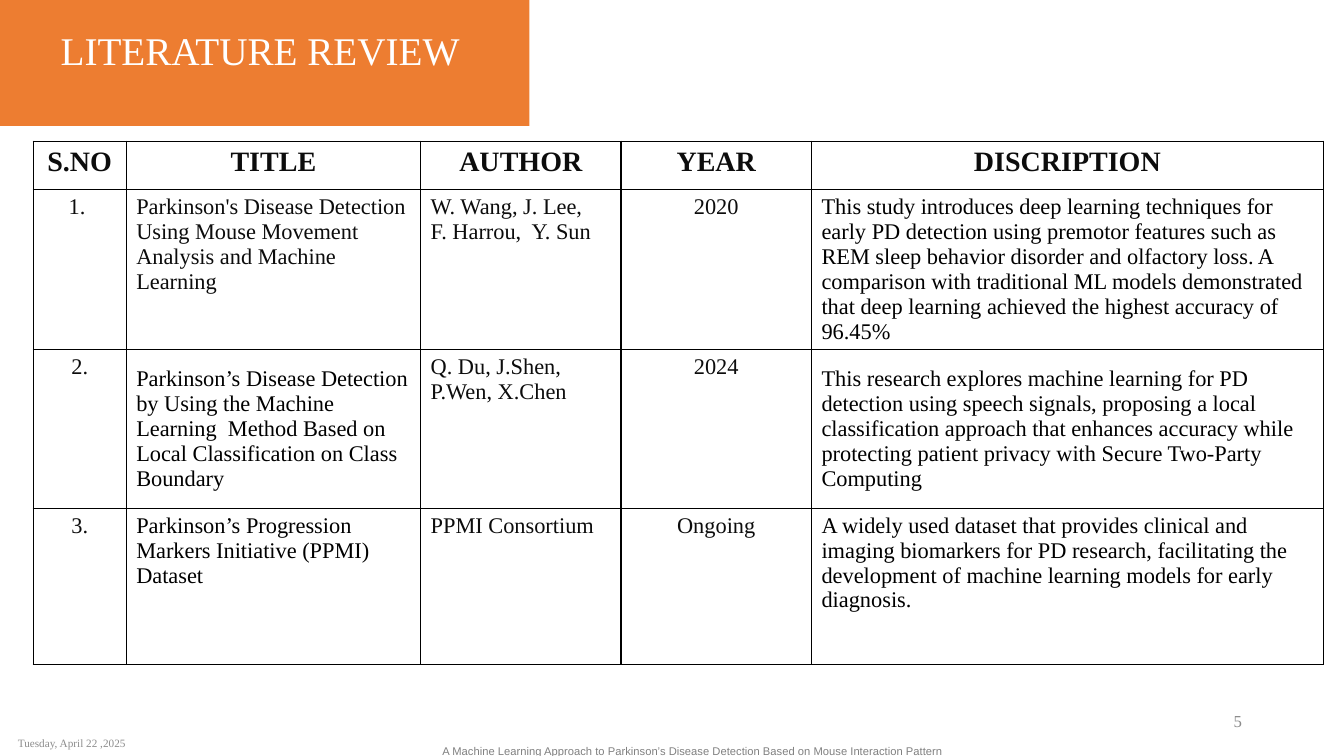
from dataclasses import dataclass

from lxml.etree import SubElement
from pptx import Presentation
from pptx.dml.color import RGBColor
from pptx.enum.text import MSO_ANCHOR, MSO_AUTO_SIZE, PP_ALIGN
from pptx.oxml.ns import qn
from pptx.util import Cm, Pt


@dataclass(frozen=True)
class Theme:
    """Colours, fonts and type sizes of the slide."""
    banner: RGBColor = RGBColor(0xED, 0x7D, 0x31)
    white: RGBColor = RGBColor(0xFF, 0xFF, 0xFF)
    ink: RGBColor = RGBColor(0x0C, 0x0C, 0x0C)
    black: RGBColor = RGBColor(0, 0, 0)
    date: RGBColor = RGBColor(0x8C, 0x8C, 0x8C)
    footer: RGBColor = RGBColor(0x80, 0x80, 0x80)
    number: RGBColor = RGBColor(0x8B, 0x8B, 0x8B)
    serif: str = "Times New Roman"
    sans: str = "Arial"
    title_size: int = 28
    header_size: int = 20
    body_size: int = 16
    number_size: int = 12
    small_size: int = 8
    border: int = 1


THEME = Theme()
COLUMN_WIDTHS = (2.34, 7.42, 5.05, 4.8, 12.9)
ROW_HEIGHTS = (1.22, 4.01, 4.01, 3.94)
CENTRED_COLUMNS = (0, 3)
MIDDLE_CELLS = ((1, 4), (2, 1), (2, 4))
BLACK_CELLS = MIDDLE_CELLS + ((3, 1), (3, 4))
REVIEW = (
    ("S.NO", "TITLE", "AUTHOR", "YEAR", "DISCRIPTION"),
    ("1. ",
     "Parkinson's Disease Detection Using Mouse Movement Analysis and Machine Learning",
     "W. Wang, J. Lee,\nF. Harrou,  Y. Sun",
     "2020",
     "This study introduces deep learning techniques for early PD detection using premotor "
     "features such as REM sleep behavior disorder and olfactory loss. A comparison with "
     "traditional ML models demonstrated that deep learning achieved the highest accuracy "
     "of 96.45%"),
    ("2.",
     "Parkinson’s Disease Detection by Using the Machine Learning  Method Based on Local "
     "Classification on Class Boundary",
     "Q. Du, J.Shen,\nP.Wen, X.Chen",
     "2024",
     "This research explores machine learning for PD detection using speech signals, "
     "proposing a local classification approach that enhances accuracy while protecting "
     "patient privacy with Secure Two-Party Computing"),
    ("3.",
     "Parkinson’s Progression Markers Initiative (PPMI) Dataset",
     "PPMI Consortium",
     "Ongoing",
     "A widely used dataset that provides clinical and imaging biomarkers for PD research, "
     "facilitating the development of machine learning models for early diagnosis."),
)


def write(frame, text, size, color, font=THEME.serif, align=PP_ALIGN.LEFT, bold=False):
    """Fill a text frame and format each of its paragraphs."""
    frame.text = text
    frame.word_wrap = True
    for paragraph in frame.paragraphs:
        paragraph.alignment = align
        paragraph.font.name = font
        paragraph.font.size = Pt(size)
        paragraph.font.bold = bold
        paragraph.font.color.rgb = color


def add_banner(slide, left, top, width, height):
    """Turn the title placeholder into the orange banner."""
    banner = slide.shapes.title
    banner.left, banner.top = Cm(left), Cm(top)
    banner.width, banner.height = Cm(width), Cm(height)
    banner.fill.solid()
    banner.fill.fore_color.rgb = THEME.banner
    frame = banner.text_frame
    write(frame, "LITERATURE REVIEW ", THEME.title_size, THEME.white, align=PP_ALIGN.CENTER)
    frame.auto_size = MSO_AUTO_SIZE.NONE
    frame.vertical_anchor = MSO_ANCHOR.MIDDLE


def outline(cell):
    """Draw a thin black border on all four sides of a cell."""
    properties = cell._tc.get_or_add_tcPr()
    for position, side in enumerate(("a:lnL", "a:lnR", "a:lnT", "a:lnB")):
        line = SubElement(properties, qn(side), w=str(Pt(THEME.border)))
        fill = SubElement(line, qn("a:solidFill"))
        SubElement(fill, qn("a:srgbClr"), val=str(THEME.black))
        properties.insert(position, line)


def add_review_table(slide, left, top):
    """Place the table of reviewed papers with its corner at the given point."""
    review = slide.shapes.add_table(
        len(ROW_HEIGHTS), len(COLUMN_WIDTHS), Cm(left), Cm(top),
        Cm(sum(COLUMN_WIDTHS)), Cm(sum(ROW_HEIGHTS))).table
    review.horz_banding = False
    for column, width in zip(review.columns, COLUMN_WIDTHS):
        column.width = Cm(width)
    for row, height in zip(review.rows, ROW_HEIGHTS):
        row.height = Cm(height)
    for r, entries in enumerate(REVIEW):
        for c, entry in enumerate(entries):
            cell = review.cell(r, c)
            header = r == 0
            centred = header or c in CENTRED_COLUMNS
            write(cell.text_frame, entry,
                  THEME.header_size if header else THEME.body_size,
                  THEME.black if (r, c) in BLACK_CELLS else THEME.ink,
                  align=PP_ALIGN.CENTER if centred else PP_ALIGN.LEFT, bold=header)
            middle = (r, c) in MIDDLE_CELLS
            cell.vertical_anchor = MSO_ANCHOR.MIDDLE if middle else MSO_ANCHOR.TOP
            cell.fill.background()
            outline(cell)


def add_note(slide, box, text, size, color, anchor=MSO_ANCHOR.MIDDLE, **style):
    """Place one line of footer text in a box."""
    frame = slide.shapes.add_textbox(*map(Cm, box)).text_frame
    write(frame, text, size, color, **style)
    frame.vertical_anchor = anchor


def add_footer(slide, left, top):
    """Place date, running title and slide number relative to a corner."""
    add_note(slide, (left, top + 0.56, 7.62, 1.02), "Tuesday, April 22 ,2025",
             THEME.small_size, THEME.date)
    add_note(slide, (left + 10.7, top + 0.97, 16.76, 1.3),
             "A Machine Learning Approach to Parkinson’s Disease Detection "
             "Based on Mouse Interaction Pattern",
             THEME.small_size, THEME.footer, MSO_ANCHOR.TOP, font=THEME.sans)
    add_note(slide, (left + 23.73, top, 7.62, 1.02), "5",
             THEME.number_size, THEME.number, align=PP_ALIGN.RIGHT)


def main():
    """Build the literature review slide and save it."""
    deck = Presentation()
    deck.slide_width, deck.slide_height = Cm(33.87), Cm(19.05)
    slide = deck.slides.add_slide(deck.slide_layouts.get_by_name("Title Only"))
    add_banner(slide, 0, -0.64, 13.34, 3.81)
    add_review_table(slide, 0.84, 3.56)
    add_footer(slide, 0.2, 17.65)
    deck.save("out.pptx")


if __name__ == "__main__":
    main()
